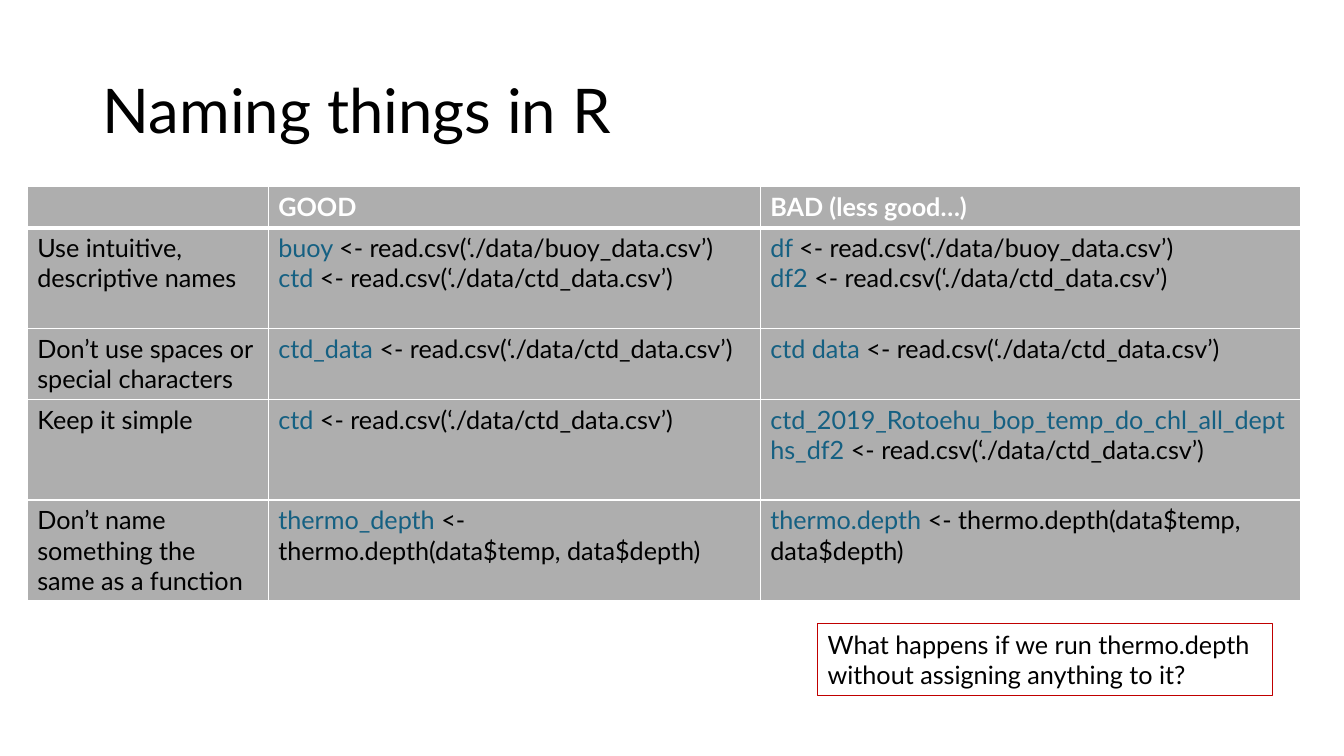
from lxml import etree
from pptx import Presentation
from pptx.dml.color import RGBColor
from pptx.enum.text import MSO_ANCHOR
from pptx.oxml.ns import qn
from pptx.util import Inches, Pt

FONT = "Lato"
BLACK, WHITE, GRAY, BLUE, RED = "000000", "FFFFFF", "AEAEAE", "156082", "C00000"

TITLE = "Naming things in R"
QUESTION = "What happens if we run thermo.depth without assigning anything to it?"
HEADERS = ["", "GOOD", "BAD (less good…)"]
READ_BUOY = "<- read.csv(‘./data/buoy_data.csv’)"
READ_CTD = "<- read.csv(‘./data/ctd_data.csv’)"
FIND_DEPTH = "<- thermo.depth(data$temp, data$depth)"

# Each rule: advice, good lines, bad lines; a line is (variable, code)
RULES = [
    ("Use intuitive, descriptive names",
     [("buoy", READ_BUOY), ("ctd", READ_CTD)],
     [("df", READ_BUOY), ("df2", READ_CTD)]),
    ("Don’t use spaces or special characters",
     [("ctd_data", READ_CTD)],
     [("ctd data", READ_CTD)]),
    ("Keep it simple",
     [("ctd", READ_CTD)],
     [("ctd_2019_Rotoehu_bop_temp_do_chl_all_depths_df2", READ_CTD)]),
    ("Don’t name something the same as a function",
     [("thermo_depth", FIND_DEPTH)],
     [("thermo.depth", FIND_DEPTH)]),
]

TITLE_BOX = (0.92, 0.4, 11.5, 1.45)
QUESTION_BOX = (8.11, 6.19, 4.51, 0.71)
TABLE_LEFT, TABLE_TOP = 0.27, 1.85
COLUMN_WIDTHS = [2.39, 4.88, 5.36]
ROW_HEIGHTS = [0.41, 1, 0.7, 1, 1]


def color(value):
    return RGBColor.from_string(value)


def add_run(paragraph, text, rgb=BLACK, **options):
    run = paragraph.add_run()
    run.text = text
    run.font.color.rgb = color(rgb)
    values = {"name": FONT, "size": Pt(18), "bold": False} | options
    for name, value in values.items():
        setattr(run.font, name, value)


def add_text_box(slide, box, text, **options):
    shape = slide.shapes.add_textbox(*map(Inches, box))
    shape.text_frame.word_wrap = True
    add_run(shape.text_frame.paragraphs[0], text, **options)
    return shape


def set_borders(cell, widths):
    """Draw white borders; widths maps the sides L, R, T, B to points."""
    properties = cell._tc.get_or_add_tcPr()
    for index, (side, width) in enumerate(widths.items()):
        line = etree.Element(qn(f"a:ln{side}"), w=str(Pt(width)))
        fill = etree.SubElement(line, qn("a:solidFill"))
        etree.SubElement(fill, qn("a:srgbClr"), val=WHITE)
        properties.insert(index, line)


def fill_cell(cell, content):
    """Write plain advice, or one paragraph per line of code."""
    frame = cell.text_frame
    if isinstance(content, str):
        add_run(frame.paragraphs[0], content)
        return
    for index, (variable, code) in enumerate(content):
        paragraph = frame.add_paragraph() if index else frame.paragraphs[0]
        add_run(paragraph, variable + " ", BLUE)
        add_run(paragraph, code)


def add_rules_table(slide):
    table = slide.shapes.add_table(
        len(ROW_HEIGHTS), len(COLUMN_WIDTHS), Inches(TABLE_LEFT), Inches(TABLE_TOP),
        Inches(sum(COLUMN_WIDTHS)), Inches(sum(ROW_HEIGHTS))).table
    for column, width in zip(table.columns, COLUMN_WIDTHS):
        column.width = Inches(width)
    for row, height in zip(table.rows, ROW_HEIGHTS):
        row.height = Inches(height)

    for row_index, contents in enumerate([HEADERS, *RULES]):
        for column_index, content in enumerate(contents):
            cell = table.cell(row_index, column_index)
            cell.fill.solid()
            cell.fill.fore_color.rgb = color(GRAY)
            set_borders(cell, {"L": 1, "R": 1,
                               "T": 3 if row_index == 1 else 1,
                               "B": 3 if row_index == 0 else 1})
            if row_index:
                fill_cell(cell, content)
            elif content:
                add_run(cell.text_frame.paragraphs[0], content, WHITE, bold=True)


def main():
    presentation = Presentation()
    presentation.slide_width = Inches(13.33)
    presentation.slide_height = Inches(7.5)
    slide = presentation.slides.add_slide(presentation.slide_layouts[6])

    title = add_text_box(slide, TITLE_BOX, TITLE, size=Pt(44))
    title.text_frame.vertical_anchor = MSO_ANCHOR.MIDDLE
    title.text_frame.paragraphs[0].line_spacing = 0.9

    add_rules_table(slide)

    question = add_text_box(slide, QUESTION_BOX, QUESTION)
    question.line.color.rgb = color(RED)
    question.line.width = Pt(0.75)

    presentation.save("out.pptx")


if __name__ == "__main__":
    main()
